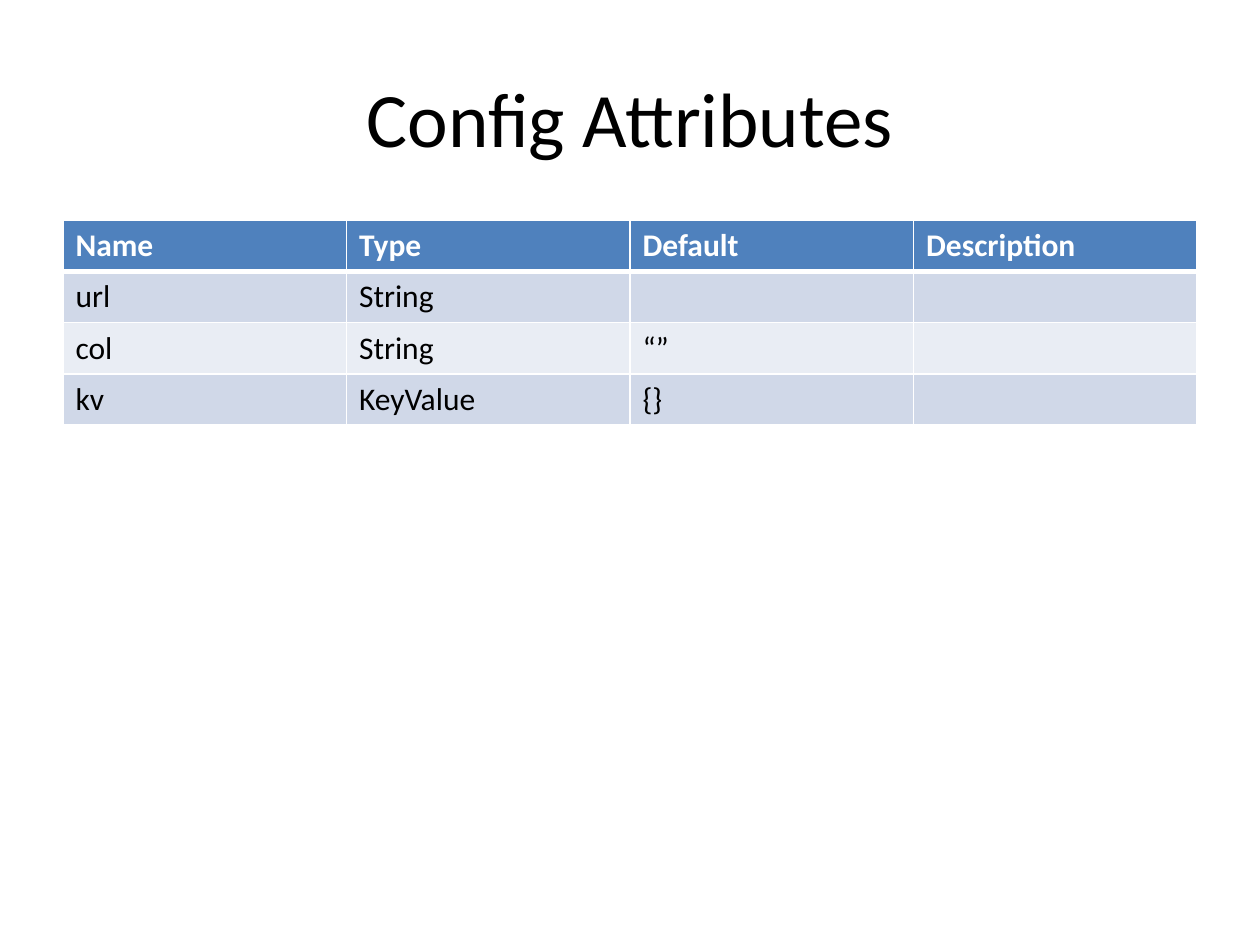
from dataclasses import dataclass

from lxml import etree
from pptx import Presentation
from pptx.dml.color import RGBColor
from pptx.enum.text import MSO_ANCHOR, PP_ALIGN
from pptx.oxml.ns import qn
from pptx.slide import Slide
from pptx.table import _Cell
from pptx.text.text import TextFrame
from pptx.util import Pt

CENTER = PP_ALIGN.CENTER
MIDDLE = MSO_ANCHOR.MIDDLE
TITLE_ONLY = 5
FONT = "Calibri"
COLORS = {
    "header": "4F81BD",
    "odd_row": "D0D8E8",
    "even_row": "E9EDF4",
    "light": "FFFFFF",
    "dark": "000000",
}
LEFT, WIDTH = 36, 648
TABLE_TOP, ROW_HEIGHT = 126, 29.2
THIN, THICK = 1, 3


@dataclass
class Attribute:
    name: str
    type_name: str
    default: str = ""
    description: str = ""


HEADINGS = Attribute("Name", "Type", "Default", "Description")
ATTRIBUTES = [
    Attribute("url", "String"),
    Attribute("col", "String", "“”"),
    Attribute("kv", "KeyValue", "{}"),
]


def format_text(frame: TextFrame, size: float, color: str, bold: bool = False) -> None:
    for para in frame.paragraphs:
        for span in para.runs:
            span.font.name = FONT
            span.font.size = Pt(size)
            span.font.bold = bold
            span.font.color.rgb = RGBColor.from_string(COLORS[color])


def add_borders(cell: _Cell, top: float, bottom: float) -> None:
    properties = cell._tc.get_or_add_tcPr()
    sides = {"lnL": THIN, "lnR": THIN, "lnT": top, "lnB": bottom}
    for side, width in sides.items():
        line = etree.SubElement(properties, qn(f"a:{side}"), w=str(Pt(width)))
        fill = etree.SubElement(line, qn("a:solidFill"))
        etree.SubElement(fill, qn("a:srgbClr"), val=COLORS["light"])


def add_title(page: Slide, text: str) -> None:
    title = page.shapes.title
    title.left, title.top = Pt(LEFT), Pt(21.6)
    title.width, title.height = Pt(WIDTH), Pt(90)
    frame = title.text_frame
    frame.text = text
    frame.vertical_anchor = MIDDLE
    frame.paragraphs[0].alignment = CENTER
    format_text(frame, 44, "dark")


def add_attribute_table(page: Slide, rows: list[Attribute]) -> None:
    table = page.shapes.add_table(
        len(rows), 4, Pt(LEFT), Pt(TABLE_TOP), Pt(WIDTH), Pt(ROW_HEIGHT * len(rows))
    ).table
    for row_index, row in enumerate(rows):
        is_header = row_index == 0
        fill = "header" if is_header else "odd_row" if row_index % 2 else "even_row"
        values = (row.name, row.type_name, row.default, row.description)
        for column_index, value in enumerate(values):
            cell = table.cell(row_index, column_index)
            cell.text_frame.text = value
            format_text(cell.text_frame, 18, "light" if is_header else "dark", is_header)
            # The rule below the header is thicker than the others
            add_borders(
                cell,
                top=THICK if row_index == 1 else THIN,
                bottom=THICK if is_header else THIN,
            )
            cell.fill.solid()
            cell.fill.fore_color.rgb = RGBColor.from_string(COLORS[fill])


def main() -> None:
    deck = Presentation()
    deck.slide_width, deck.slide_height = Pt(720), Pt(540)
    page = deck.slides.add_slide(deck.slide_layouts[TITLE_ONLY])
    add_title(page, "Config Attributes")
    add_attribute_table(page, [HEADINGS, *ATTRIBUTES])
    deck.save("out.pptx")


if __name__ == "__main__":
    main()
